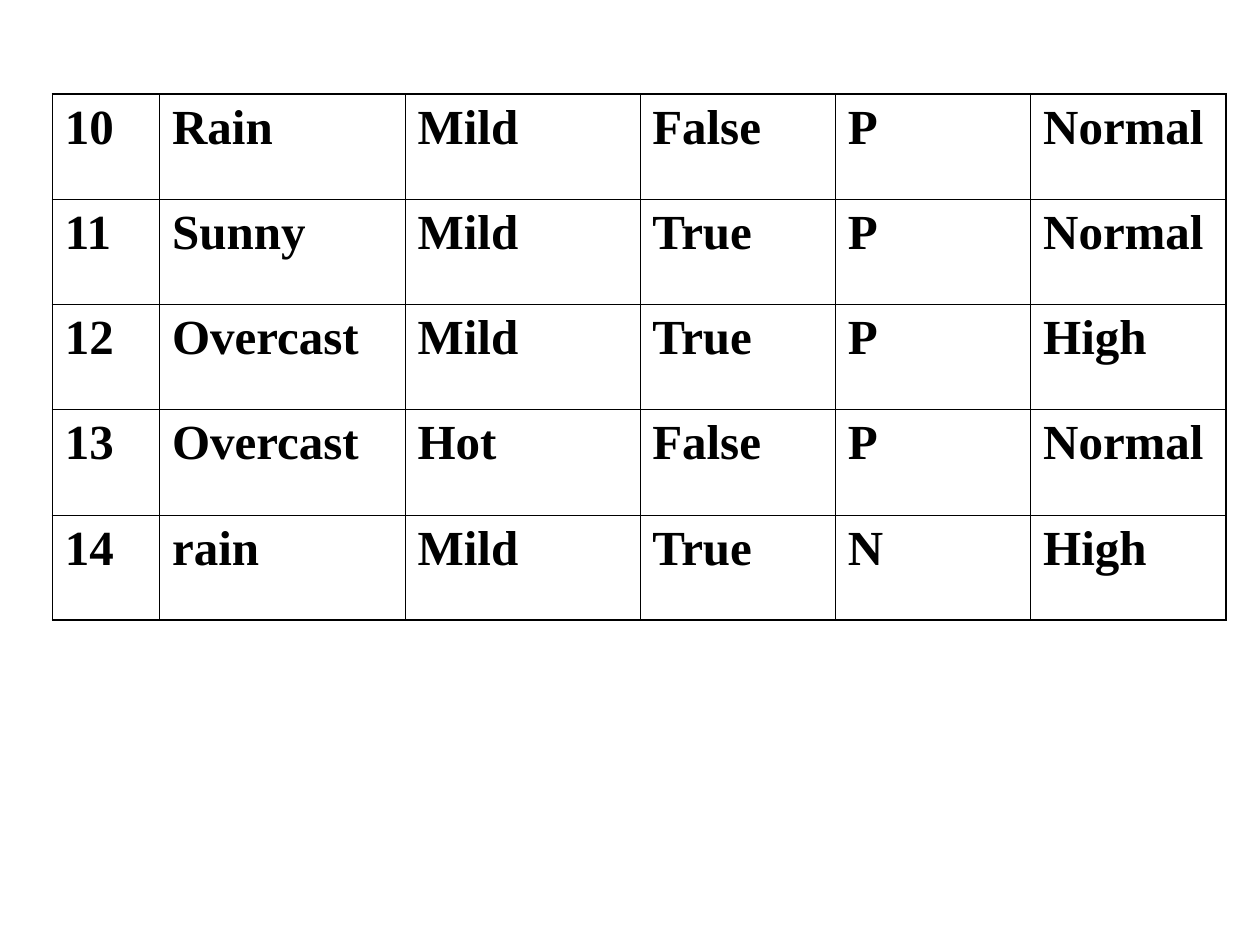
"""Build a slide with rows 10 to 14 of a weather training table."""
from lxml import etree
from pptx import Presentation
from pptx.dml.color import RGBColor
from pptx.enum.text import MSO_ANCHOR, PP_ALIGN
from pptx.oxml.ns import qn
from pptx.util import Cm, Pt

TOP = MSO_ANCHOR.TOP
LEFT = PP_ALIGN.LEFT
COLOURS = {"ink": "000000"}
FONT = {"name": "Times New Roman", "size": Pt(28), "bold": True}
MARGINS = {
    "margin_left": Cm(0.25),
    "margin_right": Cm(0.25),
    "margin_top": Cm(0.13),
    "margin_bottom": Cm(0.13),
    "vertical_anchor": TOP,
}
OUTER, INNER = Pt(1.08), Pt(0.45)
COLUMN_WIDTHS = [2.16, 4.95, 4.73, 3.94, 3.94, 3.94]
ROW_HEIGHT = 2.12
WEATHER = [
    ["10", "Rain", "Mild", "False", "P", "Normal"],
    ["11", "Sunny", "Mild", "True", "P", "Normal"],
    ["12", "Overcast", "Mild", "True", "P", "High"],
    ["13", "Overcast", "Hot", "False", "P", "Normal"],
    ["14", "rain", "Mild", "True", "N", "High"],
]


def add_border(cell, side, width):
    properties = cell._tc.get_or_add_tcPr()
    line = etree.SubElement(properties, qn(f"a:ln{side}"), w=str(int(width)))
    fill = etree.SubElement(line, qn("a:solidFill"))
    etree.SubElement(fill, qn("a:srgbClr"), val=COLOURS["ink"])


deck = Presentation()
deck.slide_width, deck.slide_height = Cm(25.4), Cm(19.05)
page = deck.slides.add_slide(deck.slide_layouts[6])

last_row, last_column = len(WEATHER) - 1, len(COLUMN_WIDTHS) - 1
table = page.shapes.add_table(
    len(WEATHER), len(COLUMN_WIDTHS), Cm(1.06), Cm(1.9),
    Cm(sum(COLUMN_WIDTHS)), Cm(ROW_HEIGHT * len(WEATHER)),
).table
table.first_row = table.horz_banding = False
for column, width in zip(table.columns, COLUMN_WIDTHS):
    column.width = Cm(width)

for row, values in enumerate(WEATHER):
    table.rows[row].height = Cm(ROW_HEIGHT)
    for column, value in enumerate(values):
        cell = table.cell(row, column)
        for name, setting in MARGINS.items():
            setattr(cell, name, setting)
        edges = {
            "L": column == 0,
            "R": column == last_column,
            "T": row == 0,
            "B": row == last_row,
        }
        for side, is_outer in edges.items():
            add_border(cell, side, OUTER if is_outer else INNER)
        cell.fill.background()
        para = cell.text_frame.paragraphs[0]
        para.alignment = LEFT
        span = para.add_run()
        span.text = value
        for name, setting in FONT.items():
            setattr(span.font, name, setting)
        span.font.color.rgb = RGBColor.from_string(COLOURS["ink"])

deck.save("out.pptx")
